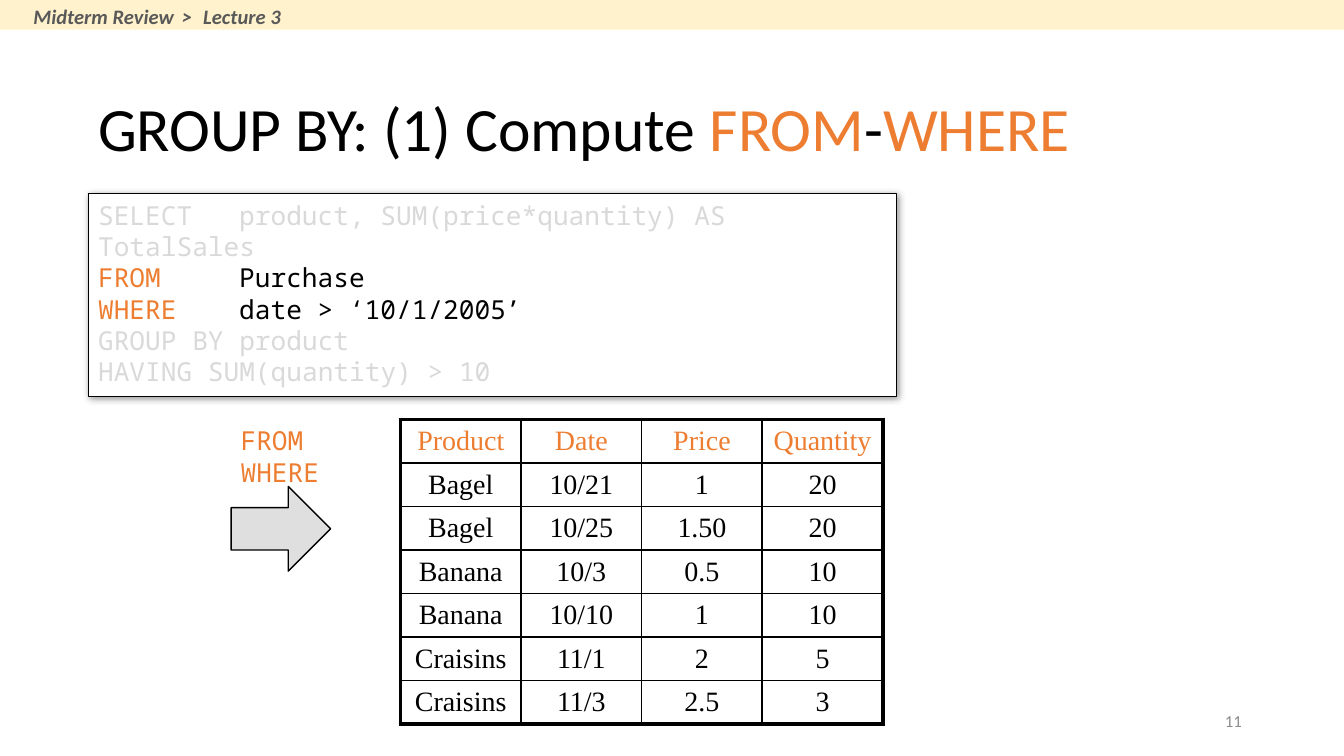
from lxml import etree
from pptx import Presentation
from pptx.dml.color import RGBColor
from pptx.enum.shapes import MSO_SHAPE
from pptx.enum.text import MSO_ANCHOR, MSO_AUTO_SIZE, PP_ALIGN
from pptx.oxml.ns import qn
from pptx.util import Inches, Pt

RECTANGLE, RIGHT_ARROW = MSO_SHAPE.RECTANGLE, MSO_SHAPE.RIGHT_ARROW
TOP, MIDDLE = MSO_ANCHOR.TOP, MSO_ANCHOR.MIDDLE
LEFT, CENTER, RIGHT = PP_ALIGN.LEFT, PP_ALIGN.CENTER, PP_ALIGN.RIGHT
NO_AUTOFIT = MSO_AUTO_SIZE.NONE


class Theme:
    black, white, orange = "000000", "FFFFFF", "ED7D31"
    faded, arrow, banner = "D9D9D9", "C0C0C0", "FFF2CC"
    breadcrumb, page = "595959", "8C8C8C"
    sans, mono, serif = "Calibri", "Noto Sans Mono", "Times New Roman"
    title_size, code_size, table_size = 33, 14, 15
    breadcrumb_size, page_size = 11, 9
    thin, thick, outline = 1, 2.25, 0.75


def write(frame, lines, font, size, align=LEFT, anchor=TOP, wrap=True):
    """Each line is a list of (text, colour) pairs."""
    frame.auto_size = NO_AUTOFIT
    frame.word_wrap = wrap
    frame.vertical_anchor = anchor
    frame.margin_left = frame.margin_right = Inches(0.07)
    frame.margin_top = frame.margin_bottom = Inches(0.04)
    for number, line in enumerate(lines):
        paragraph = frame.add_paragraph() if number else frame.paragraphs[0]
        paragraph.alignment = align
        for text, color in line:
            run = paragraph.add_run()
            run.text = text
            run.font.name, run.font.size = font, Pt(size)
            run.font.color.rgb = RGBColor.from_string(color)


def paint(shape, fill, line=None):
    shape.shadow.inherit = False
    shape.fill.solid()
    shape.fill.fore_color.rgb = RGBColor.from_string(fill)
    if line:
        shape.line.color.rgb = RGBColor.from_string(line)
        shape.line.width = Pt(Theme.outline)
    else:
        shape.line.fill.background()


# 16:9 slide
deck = Presentation()
deck.slide_width = Inches(10)
deck.slide_height = deck.slide_width * 9 // 16
slide = deck.slides.add_slide(deck.slide_layouts[5])
shapes = slide.shapes

# Page number
page = shapes.add_textbox(Inches(7.06), Inches(5.21), Inches(2.25), Inches(0.3))
write(page.text_frame, [[("11", Theme.page)]], Theme.sans, Theme.page_size, RIGHT, MIDDLE)

# Title
title = shapes.title
title.left, title.top = Inches(0.66), Inches(0.51)
title.width, title.height = Inches(8.24), Inches(0.94)
heading = [("GROUP BY: (1) Compute ", Theme.black), ("FROM", Theme.orange),
           ("-", Theme.black), ("WHERE", Theme.orange)]
write(title.text_frame, [heading], Theme.sans, Theme.title_size, anchor=MIDDLE)
title.text_frame.paragraphs[0].line_spacing = 0.9

# Purchase table
purchases = [
    ("Product", "Date", "Price", "Quantity"),
    ("Bagel", "10/21", "1", "20"),
    ("Bagel", "10/25", "1.50", "20"),
    ("Banana", "10/3", "0.5", "10"),
    ("Banana", "10/10", "1", "10"),
    ("Craisins", "11/1", "2", "5"),
    ("Craisins", "11/3", "2.5", "3"),
]
last_row, last_column = len(purchases) - 1, len(purchases[0]) - 1
table = shapes.add_table(len(purchases), len(purchases[0]), Inches(2.98), Inches(3.12),
                         Inches(3.59), Inches(2.27)).table
table.first_row = table.horz_banding = False
for r, record in enumerate(purchases):
    for c, value in enumerate(record):
        cell = table.cell(r, c)
        color = Theme.black if r else Theme.orange
        write(cell.text_frame, [[(value, color)]], Theme.serif, Theme.table_size, CENTER)
        cell.vertical_anchor = MIDDLE
        cell.margin_left = cell.margin_right = Inches(0.07)
        cell.margin_top = cell.margin_bottom = Inches(0.04)
        # Thick frame outside, thin rules inside
        properties = cell._tc.get_or_add_tcPr()
        outer_edges = {"a:lnL": c == 0, "a:lnR": c == last_column,
                       "a:lnT": r == 0, "a:lnB": r == last_row}
        for edge, is_outer in outer_edges.items():
            width = Pt(Theme.thick if is_outer else Theme.thin)
            border = etree.SubElement(properties, qn(edge), w=str(width))
            solid = etree.SubElement(border, qn("a:solidFill"))
            etree.SubElement(solid, qn("a:srgbClr"), val=Theme.black)
        cell.fill.background()

# Half-transparent arrow
arrow = shapes.add_shape(RIGHT_ARROW, Inches(1.72), Inches(3.62), Inches(0.74), Inches(0.63))
paint(arrow, Theme.arrow, Theme.black)
arrow_color = arrow._element.spPr.find(qn("a:solidFill")).find(qn("a:srgbClr"))
etree.SubElement(arrow_color, qn("a:alpha"), val="50000")

# Query, with clause bodies aligned on a tab stop
query = shapes.add_shape(RECTANGLE, Inches(0.66), Inches(1.44), Inches(6.01), Inches(1.51))
paint(query, Theme.white, Theme.black)
clauses = [
    [("SELECT\tproduct, SUM(price*quantity) AS TotalSales", Theme.faded)],
    [("FROM", Theme.orange), ("\tPurchase", Theme.black)],
    [("WHERE", Theme.orange), ("\tdate > ‘10/1/2005’", Theme.black)],
    [("GROUP BY product", Theme.faded)],
    [("HAVING SUM(quantity) > 10", Theme.faded)],
]
write(query.text_frame, clauses, Theme.mono, Theme.code_size)
for clause in query.text_frame.paragraphs:
    tabs = etree.SubElement(clause._p.get_or_add_pPr(), qn("a:tabLst"))
    etree.SubElement(tabs, qn("a:tab"), pos=str(Inches(1.05)), algn="l")
effects = query._element.spPr.find(qn("a:effectLst"))
shadow = etree.SubElement(effects, qn("a:outerShdw"), blurRad=str(Pt(4)),
                          dist=str(Pt(1)), dir="2700000", algn="tl", rotWithShape="0")
shadow_color = etree.SubElement(shadow, qn("a:srgbClr"), val=Theme.black)
etree.SubElement(shadow_color, qn("a:alpha"), val="40000")

# Arrow label
step = shapes.add_textbox(Inches(1.72), Inches(3.12), Inches(0.75), Inches(0.56))
write(step.text_frame, [[("FROM", Theme.orange)], [("WHERE", Theme.orange)]],
      Theme.mono, Theme.code_size, wrap=False)

# Breadcrumb banner
header = shapes.add_group_shape().shapes
banner = header.add_shape(RECTANGLE, 0, 0, Inches(10), Inches(0.22))
paint(banner, Theme.banner)
breadcrumb = header.add_textbox(Inches(0.15), Inches(-0.02), Inches(2.07), Inches(0.29))
trail = [(text, Theme.breadcrumb) for text in ("Midterm Review", " > ", "Lecture 3")]
write(breadcrumb.text_frame, [trail], Theme.sans, Theme.breadcrumb_size, wrap=False)
breadcrumb.text_frame.margin_left = breadcrumb.text_frame.margin_right = Inches(0.1)
breadcrumb.text_frame.margin_top = breadcrumb.text_frame.margin_bottom = Inches(0.05)
crumbs = breadcrumb.text_frame.paragraphs[0].runs
for crumb in crumbs:
    crumb.font.bold = crumb.font.italic = True
crumbs[1]._r.get_or_add_rPr().set("spc", "170")  # wider gaps around the separator

deck.save("out.pptx")
